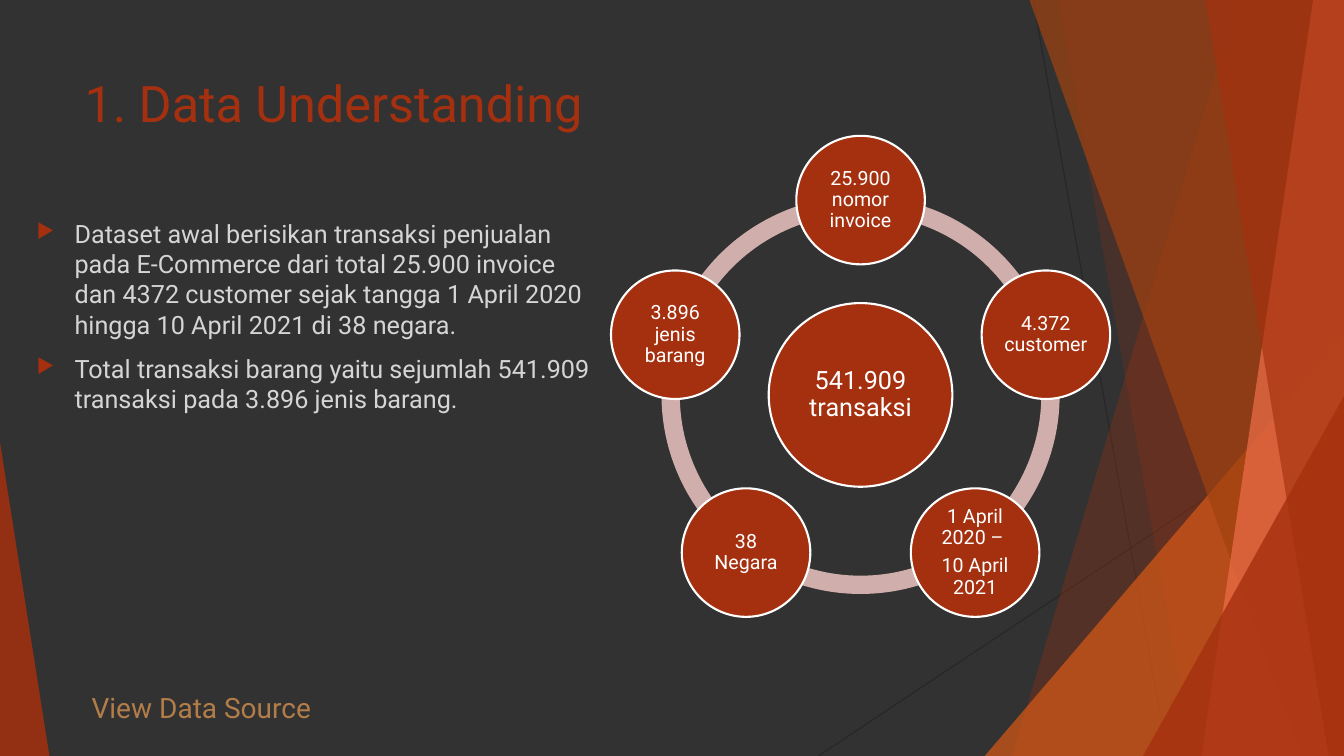
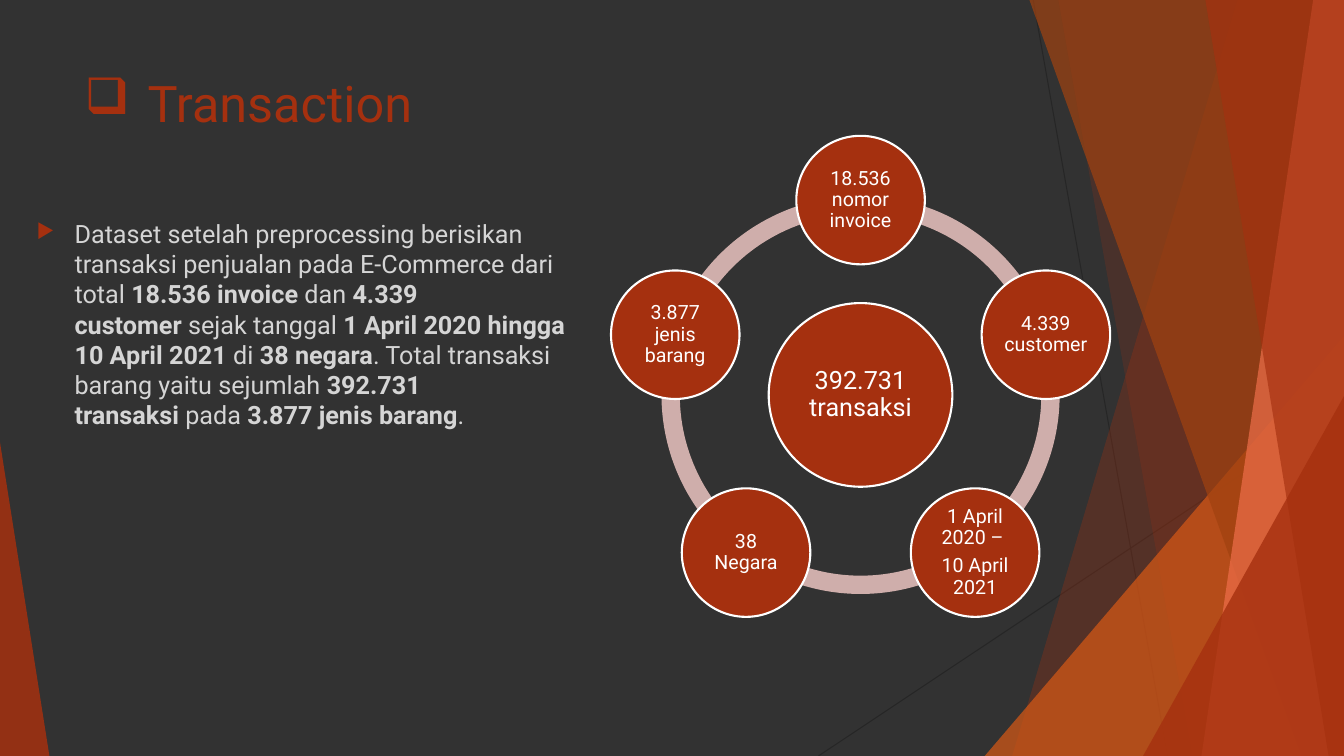
from dataclasses import dataclass
from math import cos, radians, sin
from typing import NamedTuple, Optional, Union

from lxml.etree import SubElement
from pptx import Presentation
from pptx.dml.color import RGBColor
from pptx.enum.shapes import MSO_CONNECTOR, MSO_SHAPE
from pptx.enum.text import MSO_ANCHOR, MSO_AUTO_SIZE, PP_ALIGN
from pptx.oxml.ns import qn
from pptx.util import Pt

COLOURS = {
    "night": "323232", "hairline": "262626", "rust": "A5300F",
    "orange": "D55816", "brown": "A04210", "coral": "EE6E4A",
    "ring": "CFAEAB", "white": "FFFFFF", "body": "D5D5D5", "link": "B27D49",
}
FONT, BULLET_FONT = "Roboto", "OpenSymbol"
NBSP = chr(160)  # no-break space
SLIDE_W, SLIDE_H = 960, 540


class Box(NamedTuple):
    left: float
    top: float
    width: float
    height: float

    def points(self) -> list:
        return [Pt(length) for length in self]


class Span(NamedTuple):
    text: str
    bold: bool = False


class Bullet(NamedTuple):
    char: str
    indent: float
    colour: str = "rust"
    percent: int = 100


@dataclass
class Band:
    """Full-height facet from a slanted left edge to the right slide edge."""
    top_x: float
    bottom_x: float
    colour: str
    opacity: int


@dataclass
class Wedge:
    """Triangle standing on the bottom slide edge; apex 0 is left, 1 right."""
    left: float
    top: float
    width: float
    apex: int
    colour: str
    opacity: int


@dataclass
class Topic:
    title: str
    statements: list[list[Span]]
    hub: str
    nodes: list[list[str]]
    title_bullet: Optional[Bullet] = None
    source_link: Optional[str] = None


# Shared layout
TITLE_BOX = Box(53.3, 48, 676.8, 104)
BODY_BOX = Box(19.2, 152.3, 412, 206)
LINK_BOX = Box(58.3, 473, 433, 47.5)
BODY_BULLET = Bullet("▶", 27, percent=80)
HAIRLINES = [(738, 0, 834, 540), (960, 290, 584.6, 540)]
FACETS: list[Union[Band, Wedge]] = [
    Band(884, 723, "rust", 30),
    Band(756, 851.8, "rust", 20),
    Wedge(703.4, 240, 256.6, 1, "orange", 72),
    Band(735.3, 929.5, "brown", 70),
    Band(938, 858.2, "coral", 70),
    Band(861, 949, "rust", 65),
    Wedge(816.5, 283, 143.5, 1, "rust", 80),
    Wedge(0, 316, 35.3, 0, "rust", 85),
]

# Radial diagram
CENTRE_X, CENTRE_Y = 614.7, 282.1
ORBIT, RING_SIZE, RING_THICKNESS = 139.2, 284.4, 0.046
HUB_SIZE, NODE_SIZE = 131.2, 91.8
ARC_UNIT = 0.6  # adjustment value per degree

TOPICS = [
    Topic(
        "1. Data Understanding",
        [
            [Span("Dataset awal berisikan transaksi penjualan pada E-Commerce dari "
                  "total 25.900 invoice dan 4372 customer sejak tangga 1 April 2020 "
                  "hingga 10 April 2021 di 38 negara.")],
            [Span("Total transaksi barang yaitu sejumlah 541.909 transaksi pada "
                  "3.896 jenis barang.")],
        ],
        "541.909 transaksi",
        [["25.900 nomor invoice"], ["4.372 customer"],
         ["1 April 2020 – ", "10 April 2021"], ["38 Negara"],
         ["3.896 jenis barang"]],
        source_link="View Data Source",
    ),
    Topic(
        "Transaction",
        [[
            Span("Dataset setelah preprocessing berisikan transaksi penjualan pada "
                 f"E-Commerce dari total{NBSP}"),
            Span("18.536 invoice", True), Span(f"{NBSP}dan{NBSP}"),
            Span(f"4.339 customer{NBSP}", True), Span(f"sejak tanggal{NBSP}"),
            Span("1 April 2020 hingga 10 April 2021", True),
            Span(f"{NBSP}di{NBSP}"), Span("38 negara", True),
            Span(f". Total transaksi barang yaitu sejumlah{NBSP}"),
            Span("392.731 transaksi", True), Span(f"{NBSP}pada{NBSP}"),
            Span("3.877 jenis barang", True), Span("."),
        ]],
        "392.731 transaksi",
        [["18.536 nomor invoice"], ["4.339 customer"],
         ["1 April 2020 – ", "10 April 2021"], ["38 Negara"],
         ["3.877 jenis barang"]],
        title_bullet=Bullet("❑", 45),
    ),
]


def rgb(colour: str) -> RGBColor:
    return RGBColor.from_string(COLOURS[colour])


def paint(shape, colour: str, opacity: int = 100, outline: Optional[str] = None) -> None:
    shape.shadow.inherit = False
    shape.fill.solid()
    shape.fill.fore_color.rgb = rgb(colour)
    if opacity < 100:
        fill_colour = next(shape._element.spPr.iter(qn("a:srgbClr")))
        SubElement(fill_colour, qn("a:alpha"), val=str(opacity * 1000))
    if outline:
        shape.line.color.rgb = rgb(outline)
        shape.line.width = Pt(1.5)
    else:
        shape.line.fill.background()


def add_span(paragraph, span: Span, size: float, colour: str) -> None:
    run = paragraph.add_run()
    run.text = span.text
    run.font.name = FONT
    run.font.size = Pt(size)
    run.font.bold = span.bold
    run.font.color.rgb = rgb(colour)


def set_bullet(paragraph, bullet: Bullet) -> None:
    properties = paragraph._p.get_or_add_pPr()
    properties.set("marL", str(Pt(bullet.indent)))
    properties.set("indent", str(-Pt(bullet.indent)))
    bullet_colour = SubElement(properties, qn("a:buClr"))
    SubElement(bullet_colour, qn("a:srgbClr"), val=COLOURS[bullet.colour])
    SubElement(properties, qn("a:buSzPct"), val=str(bullet.percent * 1000))
    SubElement(properties, qn("a:buFont"), typeface=BULLET_FONT)
    SubElement(properties, qn("a:buChar"), char=bullet.char)


def write(frame, paragraphs: list[list[Span]], size: float, colour: str,
          anchor=MSO_ANCHOR.TOP, align=PP_ALIGN.LEFT, before: float = 0,
          after: float = 0, spacing: float = 1.0,
          bullet: Optional[Bullet] = None) -> None:
    frame.word_wrap = True
    frame.auto_size = MSO_AUTO_SIZE.NONE
    frame.vertical_anchor = anchor
    for index, spans in enumerate(paragraphs):
        paragraph = frame.add_paragraph() if index else frame.paragraphs[0]
        paragraph.alignment = align
        paragraph.line_spacing = spacing
        paragraph.space_before = Pt(before)
        paragraph.space_after = Pt(after)
        if bullet:
            set_bullet(paragraph, bullet)
        for span in spans:
            add_span(paragraph, span, size, colour)


def draw_backdrop(slide) -> None:
    for start_x, start_y, end_x, end_y in HAIRLINES:
        hairline = slide.shapes.add_connector(
            MSO_CONNECTOR.STRAIGHT, Pt(start_x), Pt(start_y), Pt(end_x), Pt(end_y))
        hairline.line.color.rgb = rgb("hairline")
        hairline.line.width = Pt(0.75)
        SubElement(hairline._element.spPr, qn("a:effectLst"))
    for facet in FACETS:
        if isinstance(facet, Band):
            outline = slide.shapes.build_freeform(Pt(facet.top_x), 0)
            outline.add_line_segments([
                (Pt(SLIDE_W), 0), (Pt(SLIDE_W), Pt(SLIDE_H)),
                (Pt(facet.bottom_x), Pt(SLIDE_H))], close=True)
            pane = outline.convert_to_shape()
        else:
            box = Box(facet.left, facet.top, facet.width, SLIDE_H - facet.top)
            pane = slide.shapes.add_shape(MSO_SHAPE.ISOSCELES_TRIANGLE, *box.points())
            pane.adjustments[0] = facet.apex
        paint(pane, facet.colour, facet.opacity)


def square(centre_x: float, centre_y: float, size: float) -> Box:
    return Box(centre_x - size / 2, centre_y - size / 2, size, size)


def draw_disc(slide, box: Box, lines: list[str], size: float, inset: float) -> None:
    disc = slide.shapes.add_shape(MSO_SHAPE.OVAL, *box.points())
    paint(disc, "rust", outline="white")
    frame = disc.text_frame
    frame.margin_left = frame.margin_right = Pt(inset)
    frame.margin_top = frame.margin_bottom = Pt(inset)
    write(frame, [[Span(line)] for line in lines], size, "white",
          MSO_ANCHOR.MIDDLE, PP_ALIGN.CENTER, after=0.35 * size, spacing=0.9)


def draw_radial(slide, hub: str, nodes: list[list[str]]) -> None:
    step = 360 / len(nodes)
    angles = [(270 + index * step) % 360 for index in range(len(nodes))]
    # Ring segments between neighbouring nodes
    ring = square(CENTRE_X, CENTRE_Y, RING_SIZE)
    for angle in angles:
        arc = slide.shapes.add_shape(MSO_SHAPE.BLOCK_ARC, *ring.points())
        arc.adjustments[0] = angle * ARC_UNIT
        arc.adjustments[1] = (angle + step) % 360 * ARC_UNIT
        arc.adjustments[2] = RING_THICKNESS
        paint(arc, "ring")
    # Hub and nodes
    draw_disc(slide, square(CENTRE_X, CENTRE_Y, HUB_SIZE), [hub], 18, 1.8)
    for angle, lines in zip(angles, nodes):
        node = square(CENTRE_X + ORBIT * cos(radians(angle)),
                      CENTRE_Y + ORBIT * sin(radians(angle)), NODE_SIZE)
        draw_disc(slide, node, lines, 14, 1.4)


def build_slide(deck, topic: Topic) -> None:
    slide = deck.slides.add_slide(deck.slide_layouts[5])
    draw_backdrop(slide)
    # Title
    title = slide.shapes.title
    title.left, title.top, title.width, title.height = TITLE_BOX.points()
    write(title.text_frame, [[Span(topic.title)]], 36, "rust",
          bullet=topic.title_bullet)
    # Statements
    statements = slide.shapes.add_textbox(*BODY_BOX.points())
    write(statements.text_frame, topic.statements, 18, "body", before=10,
          bullet=BODY_BULLET)
    # Diagram and source
    draw_radial(slide, topic.hub, topic.nodes)
    if topic.source_link:
        source = slide.shapes.add_textbox(*LINK_BOX.points())
        write(source.text_frame, [[Span(topic.source_link)]], 20, "link",
              MSO_ANCHOR.BOTTOM)


def main() -> None:
    deck = Presentation()
    deck.slide_width, deck.slide_height = Pt(SLIDE_W), Pt(SLIDE_H)
    backdrop = deck.slide_master.background.fill
    backdrop.solid()
    backdrop.fore_color.rgb = rgb("night")
    for topic in TOPICS:
        build_slide(deck, topic)
    deck.save("out.pptx")


if __name__ == "__main__":
    main()
